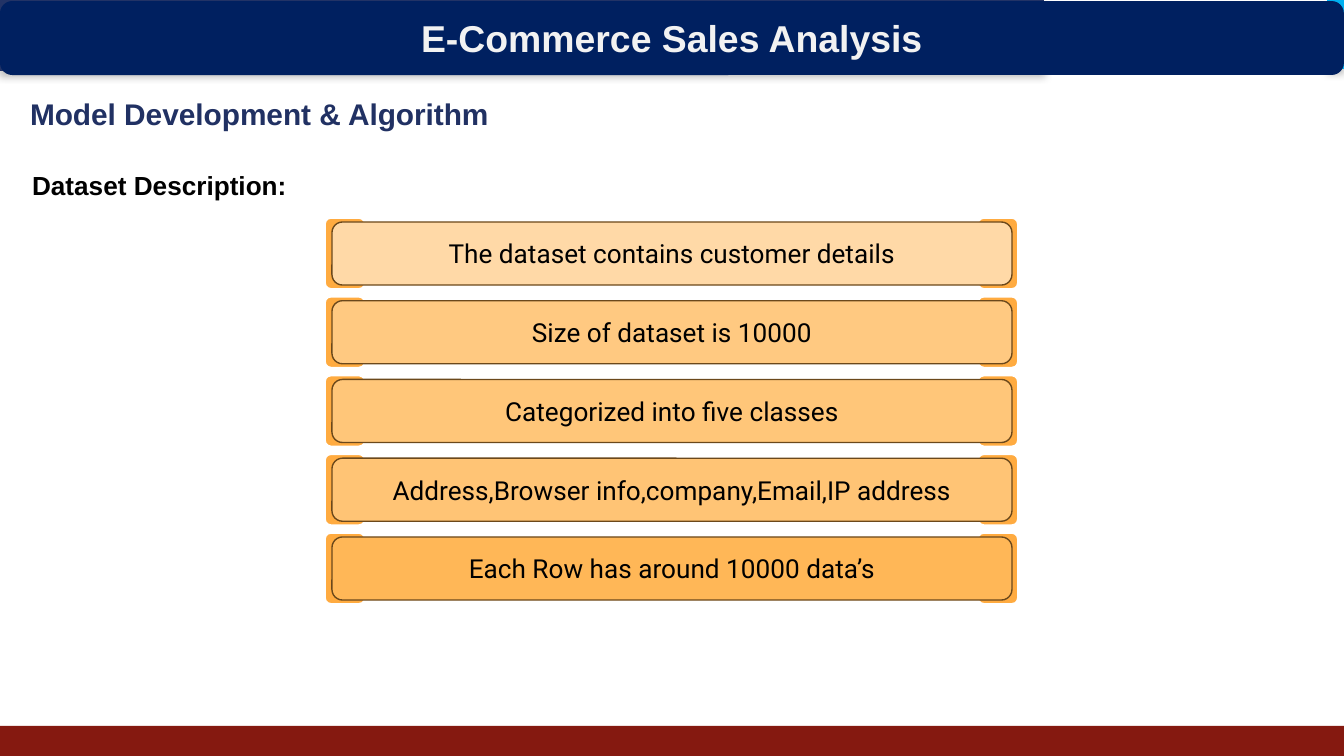
from collections import namedtuple

from lxml.etree import SubElement
from pptx import Presentation
from pptx.dml.color import RGBColor
from pptx.enum.shapes import MSO_SHAPE
from pptx.enum.text import MSO_ANCHOR, MSO_AUTO_SIZE, PP_ALIGN
from pptx.oxml.ns import qn
from pptx.util import Emu, Pt

PX = 914400 / 134.4
Box = namedtuple("Box", "left top width height")

NAVY = RGBColor(0x00, 0x20, 0x60)
STRIP_BLUE = RGBColor(0x22, 0x33, 0x66)
SKY = RGBColor(0x00, 0xB0, 0xF0)
MAROON = RGBColor(0x85, 0x19, 0x10)
HEADING_BLUE = RGBColor(0x21, 0x31, 0x63)
ORANGE = RGBColor(0xFF, 0xAB, 0x40)
BROWN = RGBColor(0x6B, 0x48, 0x1B)
BLACK = RGBColor(0x00, 0x00, 0x00)
WHITE = RGBColor(0xFF, 0xFF, 0xFF)
PALE = RGBColor(0xF2, 0xF2, 0xF2)

BANNER_FONT = {"name": "Arial", "size": Pt(20), "bold": True}
HEADING_FONT = {"name": "Arial", "size": Pt(16), "bold": True}
LABEL_FONT = {"name": "Arial", "size": Pt(14), "bold": True}
ROW_FONT = {"name": "Roboto", "size": Pt(14), "bold": False}

ROWS = [
    ("The dataset contains customer details", RGBColor(0xFF, 0xD9, 0xA7)),
    ("Size of dataset is 10000", RGBColor(0xFF, 0xC9, 0x81)),
    ("Categorized into five classes", RGBColor(0xFF, 0xC6, 0x79)),
    ("Address,Browser info,company,Email,IP address", RGBColor(0xFF, 0xC4, 0x75)),
    ("Each Row has around 10000 data’s", RGBColor(0xFF, 0xB7, 0x57)),
]


def px(value):
    return Emu(round(value * PX))


def place(box):
    return [px(value) for value in box]


def add_block(slide, kind, box, fill, line=None, line_width=0):
    shape = slide.shapes.add_shape(kind, *place(box))
    shape.shadow.inherit = False
    shape.fill.solid()
    shape.fill.fore_color.rgb = fill
    if line is None:
        shape.line.fill.background()
    else:
        shape.line.color.rgb = line
        shape.line.width = Pt(line_width)
    return shape


def add_drop_shadow(shape):
    effects = shape._element.spPr.find(qn("a:effectLst"))
    shadow = SubElement(effects, qn("a:outerShdw"), blurRad=str(Pt(4)),
                        dist=str(Pt(3)), dir="5400000", rotWithShape="0")
    color = SubElement(shadow, qn("a:srgbClr"), val=str(BLACK))
    SubElement(color, qn("a:alpha"), val="25000")


def write_text(shape, text, font, color, alignment, anchor, inset):
    frame = shape.text_frame
    settings = {
        "word_wrap": True, "auto_size": MSO_AUTO_SIZE.NONE, "vertical_anchor": anchor,
        "margin_left": px(13), "margin_right": px(13),
        "margin_top": px(inset), "margin_bottom": px(inset),
    }
    for name, value in settings.items():
        setattr(frame, name, value)
    paragraph = frame.paragraphs[0]
    paragraph.text = text
    paragraph.alignment = alignment
    for name, value in font.items():
        setattr(paragraph.font, name, value)
    paragraph.font.color.rgb = color


def write_centered(shape, text, font, color):
    write_text(shape, text, font, color, PP_ALIGN.CENTER, MSO_ANCHOR.MIDDLE, 7)


def write_heading(shape, text, font, color):
    write_text(shape, text, font, color, PP_ALIGN.LEFT, MSO_ANCHOR.TOP, 13)


def add_backdrop(slide, box):
    strip_height = 69
    footer_height = 30
    accent_width = 17
    strip = add_block(slide, MSO_SHAPE.RECTANGLE,
                      Box(box.left, box.top, 1042, strip_height), STRIP_BLUE, STRIP_BLUE, 2)
    add_drop_shadow(strip)
    add_block(slide, MSO_SHAPE.RECTANGLE,
              Box(box.left, box.top + box.height - footer_height, box.width, footer_height), MAROON)
    accent = add_block(slide, MSO_SHAPE.RECTANGLE,
                       Box(box.left + box.width - accent_width, box.top, accent_width, strip_height), SKY)
    add_drop_shadow(accent)


def add_headings(slide, box):
    title = slide.shapes.title
    title.left, title.top, title.width, title.height = place(Box(box.left, box.top, box.width, 63))
    write_heading(title, "Model Development & Algorithm", HEADING_FONT, HEADING_BLUE)
    label = slide.shapes.add_textbox(*place(Box(box.left + 2, box.top + 73, box.width, 74)))
    write_heading(label, "Dataset Description:", LABEL_FONT, BLACK)


def add_rows(slide, box):
    bar_height = 63
    tab_width, tab_height = 42, 73
    pitch = (box.height - bar_height) / (len(ROWS) - 1)
    tab_lefts = (box.left - 8, box.left + box.width + 7 - tab_width)
    for index, (text, fill) in enumerate(ROWS):
        top = box.top + index * pitch
        for left in tab_lefts:
            add_block(slide, MSO_SHAPE.ROUNDED_RECTANGLE,
                      Box(left, top - 5, tab_width, tab_height), ORANGE, WHITE, 2)
        bar = add_block(slide, MSO_SHAPE.ROUNDED_RECTANGLE,
                        Box(box.left, top, box.width, bar_height), fill, BROWN, 0.75)
        write_centered(bar, text, ROW_FONT, BLACK)


def add_banner(slide, box):
    banner = add_block(slide, MSO_SHAPE.ROUNDED_RECTANGLE, box, NAVY)
    write_centered(banner, "E-Commerce Sales Analysis", BANNER_FONT, PALE)


def main():
    presentation = Presentation()
    presentation.slide_width, presentation.slide_height = px(1344), px(756)
    slide = presentation.slides.add_slide(presentation.slide_layouts[5])
    add_backdrop(slide, Box(0, 0, 1344, 756))
    add_headings(slide, Box(17, 83, 655, 147))
    add_rows(slide, Box(332, 222, 680, 378))
    add_banner(slide, Box(0, 1, 1344, 74))
    presentation.save("out.pptx")


if __name__ == "__main__":
    main()
